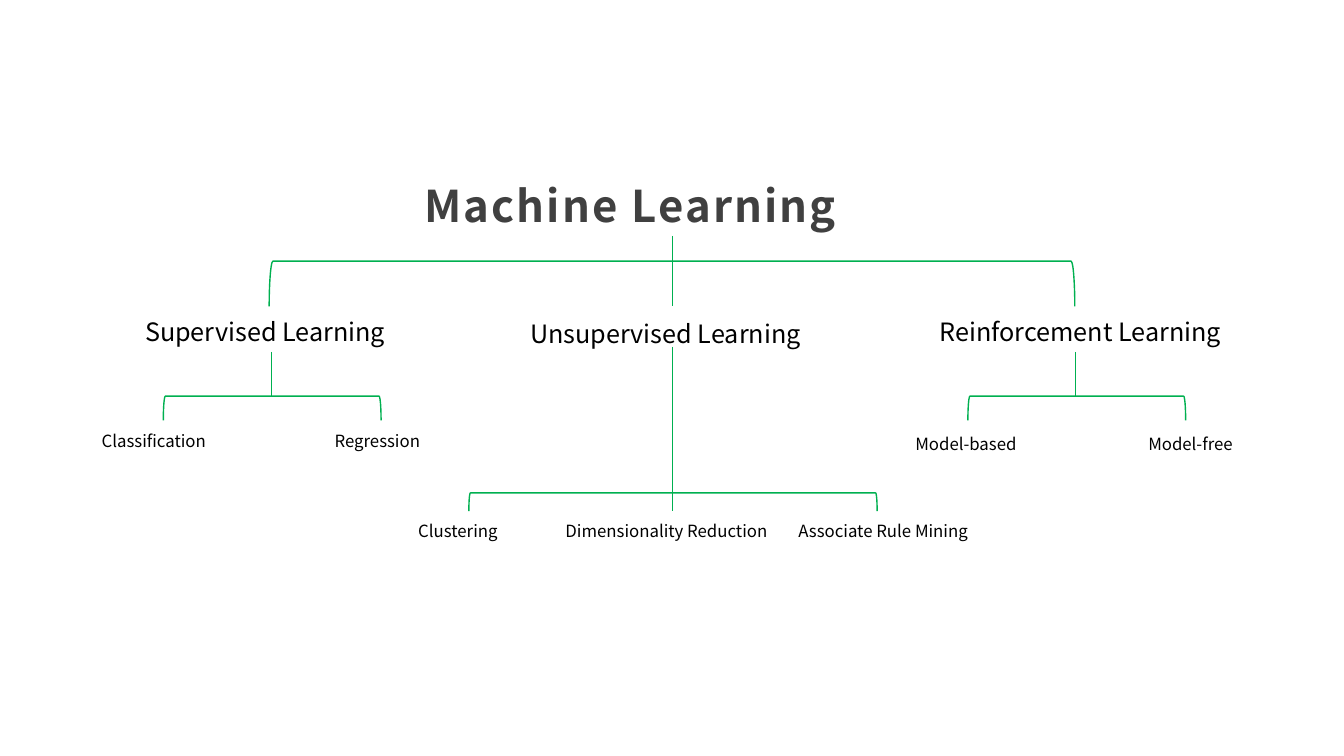
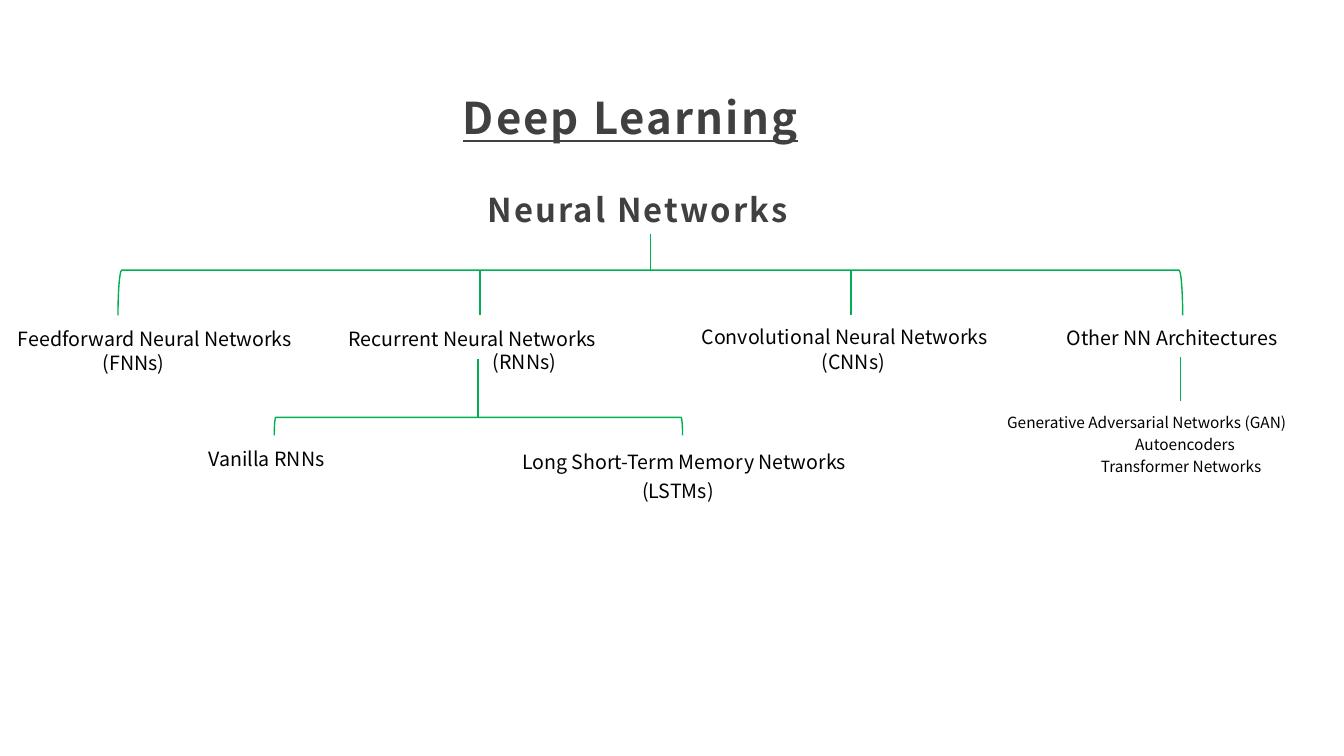
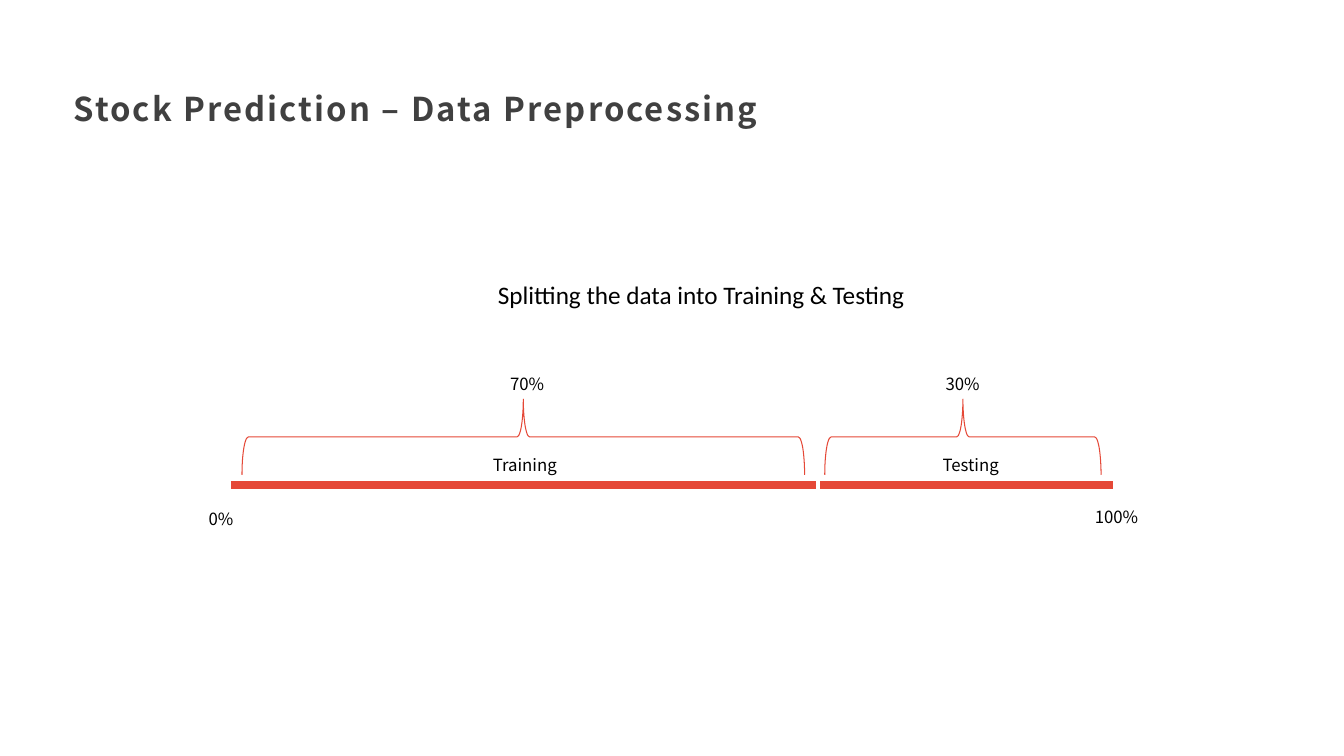
from dataclasses import dataclass
from typing import Any

from lxml.etree import SubElement
from pptx import Presentation
from pptx.dml.color import RGBColor
from pptx.enum.shapes import MSO_CONNECTOR as Connector, MSO_SHAPE as Preset
from pptx.enum.text import MSO_ANCHOR as Anchor, MSO_AUTO_SIZE as AutoSize, PP_ALIGN as Align
from pptx.oxml.ns import qn
from pptx.util import Emu, Pt

PX = 9144
COLORS = {
    "title": "404040",
    "text": "000000",
    "tree": "00B050",
    "split": "E54837",
    "gap": "FFFFFF",
}
FONT = "Noto Sans CJK JP"
LABEL_HEIGHTS = {18: 40, 14: 34, 12: 30, 11: 29}
ROTATIONS = {Preset.LEFT_BRACKET: 90, Preset.RIGHT_BRACKET: 270, Preset.LEFT_BRACE: 90}


@dataclass
class Heading:
    text: str
    left: int
    top: int
    width: int
    height: int = 77
    size: float = 31.2
    underline: bool = False


@dataclass
class Label:
    text: str
    left: int
    top: int
    width: int
    size: int = 12
    wrap: bool = True
    font: str = FONT


@dataclass
class Line:
    x1: int
    y1: int
    x2: int
    y2: int
    color: str = "tree"
    weight: float = 1


@dataclass
class Fork:
    """A bracket or brace opening downwards, given by its visible bounds."""
    left: int
    top: int
    width: int
    height: int
    preset: Preset = Preset.RIGHT_BRACKET
    color: str = "tree"
    weight: float = 1


def px(length: float) -> Emu:
    return Emu(round(length * PX))


def rgb(name: str) -> RGBColor:
    return RGBColor.from_string(COLORS[name])


def apply(target: Any, values: dict[str, Any]) -> None:
    for name, value in values.items():
        setattr(target, name, value)


def place(shape: Any, left: int, top: int, width: int, height: int) -> None:
    apply(shape, {"left": px(left), "top": px(top), "width": px(width), "height": px(height)})


def format_heading(box: Any, heading: Heading) -> None:
    place(box, heading.left, heading.top, heading.width, heading.height)
    apply(box.text_frame, {
        "word_wrap": True,
        "auto_size": AutoSize.NONE,
        "vertical_anchor": Anchor.BOTTOM,
    })
    para = box.text_frame.paragraphs[0]
    apply(para, {"alignment": Align.LEFT, "line_spacing": 1.3})
    span = para.add_run()
    span.text = heading.text
    apply(span.font, {
        "name": FONT,
        "size": Pt(heading.size),
        "bold": True,
        "underline": heading.underline,
    })
    span.font.color.rgb = rgb("title")
    span.font._element.set("spc", "150")


def add_page(deck: Any, heading: Heading) -> Any:
    page = deck.slides.add_slide(deck.slide_layouts[5])
    format_heading(page.shapes.title, heading)
    return page


def add_label(page: Any, label: Label) -> None:
    box = page.shapes.add_textbox(px(label.left), px(label.top), px(label.width),
                                  px(LABEL_HEIGHTS[label.size]))
    apply(box.text_frame, {"word_wrap": label.wrap, "auto_size": AutoSize.SHAPE_TO_FIT_TEXT})
    span = box.text_frame.paragraphs[0].add_run()
    span.text = label.text
    apply(span.font, {"name": label.font, "size": Pt(label.size)})
    span.font.color.rgb = rgb("text")


def add_line(page: Any, line: Line) -> None:
    connector = page.shapes.add_connector(Connector.STRAIGHT, px(line.x1), px(line.y1),
                                          px(line.x2), px(line.y2))
    connector.line.color.rgb = rgb(line.color)
    connector.line.width = Pt(line.weight)
    SubElement(connector._element.spPr, qn("a:effectLst"))


def add_fork(page: Any, fork: Fork) -> None:
    left = fork.left + (fork.width - fork.height) / 2
    top = fork.top + (fork.height - fork.width) / 2
    shape = page.shapes.add_shape(fork.preset, px(left), px(top), px(fork.height), px(fork.width))
    shape.rotation = ROTATIONS[fork.preset]
    shape.shadow.inherit = False
    shape.fill.background()
    shape.line.color.rgb = rgb(fork.color)
    shape.line.width = Pt(fork.weight)


def draw(page: Any, *items: Label | Line | Fork) -> None:
    painters = {Label: add_label, Line: add_line, Fork: add_fork}
    for item in items:
        painters[type(item)](page, item)


def build_machine_learning(deck: Any) -> None:
    page = add_page(deck, Heading("Machine Learning", 411, 157, 511))
    draw(
        page,
        Fork(267, 259, 799, 45, Preset.LEFT_BRACKET),
        Line(667, 234, 667, 304),
        Label("Supervised Learning", 134, 309, 271, 18, wrap=False),
        Label("Unsupervised Learning", 516, 311, 302, 18, wrap=False),
        Label("Reinforcement Learning", 922, 309, 314, 18, wrap=False),
        Fork(465, 489, 405, 18),
        Line(667, 344, 667, 507),
        Label("Clustering", 405, 512, 133),
        Label("Dimensionality Reduction", 551, 512, 231),
        Label("Associate Rule Mining", 782, 512, 274),
    )
    pairs = (
        (162, 91, 422, ("Classification", "Regression")),
        (960, 898, 425, ("Model-based", "Model-free")),
    )
    for fork_left, label_left, label_top, names in pairs:
        stem = fork_left + 107
        draw(page, Fork(fork_left, 393, 216, 24), Line(stem, 349, stem, 394))
        for index, name in enumerate(names):
            draw(page, Label(name, label_left + 231 * index, label_top, 178))


def build_deep_learning(deck: Any) -> None:
    page = add_page(deck, Heading("Deep Learning", 449, 70, 511, underline=True))
    subheading = page.shapes.add_textbox(0, 0, 0, 0)
    format_heading(subheading, Heading("Neural Networks", 474, 155, 368, size=23.4))
    draw(
        page,
        Fork(117, 268, 1056, 45, Preset.LEFT_BRACKET),
        Line(645, 232, 645, 268),
        Line(476, 268, 476, 313),
        Line(844, 268, 844, 313),
        Line(474, 356, 474, 414),
        Line(1171, 354, 1171, 398),
        Fork(272, 414, 405, 18),
        Label("Feedforward Neural Networks", 8, 319, 305, 14, wrap=False),
        Label("(FNNs)", 92, 343, 130, 14),
        Label("Recurrent Neural Networks", 336, 319, 279, 14, wrap=False),
        Label("(RNNs)", 479, 342, 130, 14),
        Label("Convolutional Neural Networks", 686, 317, 315, 14, wrap=False),
        Label("(CNNs)", 805, 342, 130, 14),
        Label("Other NN Architectures", 1048, 318, 242, 14, wrap=False),
        Label("Generative Adversarial Networks (GAN)", 989, 405, 360, 11),
        Label("Autoencoders", 1116, 427, 199, 11),
        Label("Transformer Networks", 1082, 449, 199, 11),
        Label("Vanilla RNNs", 197, 438, 141, 14, wrap=False),
        Label("Long Short-Term Memory Networks", 508, 441, 362, 14, wrap=False),
        Label("(LSTMs)", 627, 470, 199, 14),
    )


def build_data_split(deck: Any) -> None:
    page = add_page(deck, Heading("Stock Prediction – Data Preprocessing", 63, 61, 832, 71, 23.4))
    draw(
        page,
        Label("Splitting the data into Training & Testing", 484, 272, 630, 18, font="Calibri"),
        Line(229, 481, 1104, 481, "split", 6),
        Line(811, 536, 811, 400, "gap", 3),
        Label("0%", 197, 500, 87),
        Label("100%", 1076, 498, 121),
    )
    parts = (
        ("Training", "70%", 240, 558, 479, 496),
        ("Testing", "30%", 818, 274, 925, 928),
    )
    for name, share, brace_left, brace_width, name_left, share_left in parts:
        draw(
            page,
            Fork(brace_left, 396, brace_width, 75, Preset.LEFT_BRACE, "split", 0.75),
            Label(share, share_left, 366, 121),
            Label(name, name_left, 446, 109),
        )


def main() -> None:
    deck = Presentation()
    apply(deck, {"slide_width": px(1333), "slide_height": px(750)})
    build_machine_learning(deck)
    build_deep_learning(deck)
    build_data_split(deck)
    deck.save("out.pptx")


if __name__ == "__main__":
    main()
